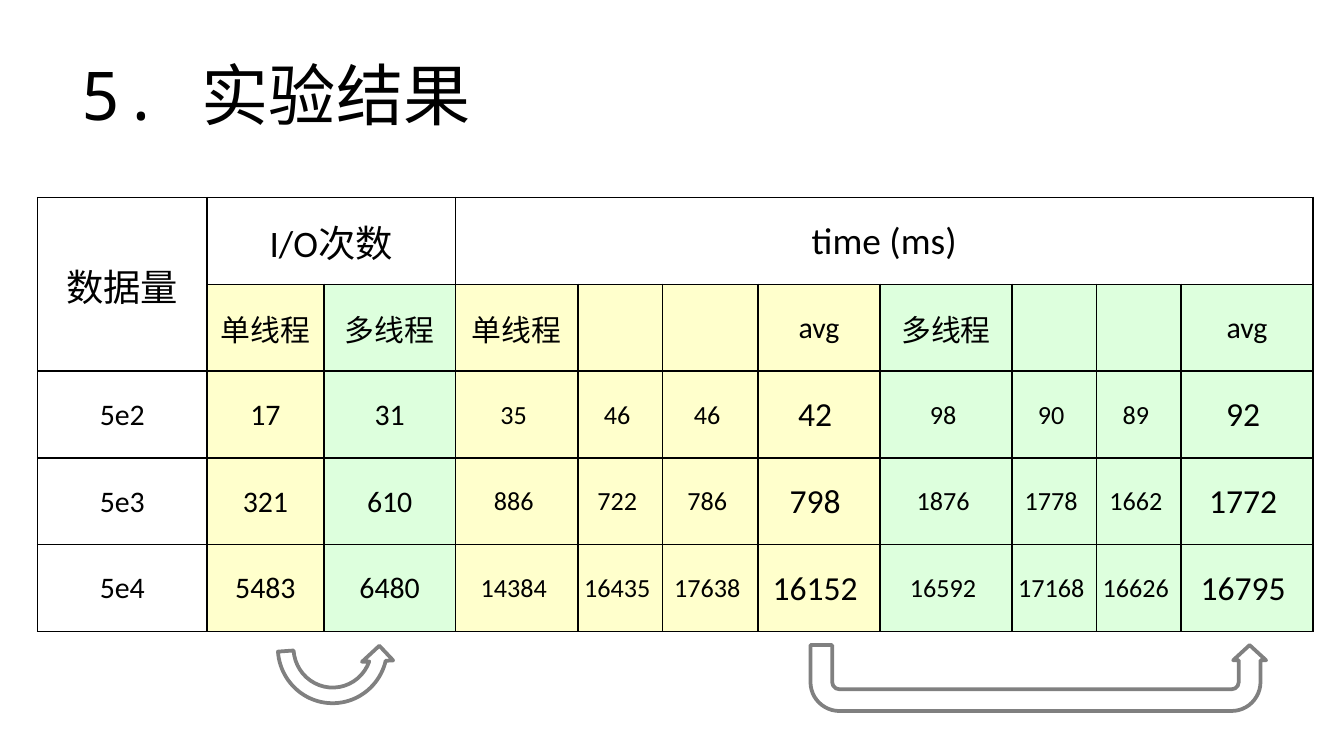
from pptx import Presentation
from pptx.dml.color import RGBColor
from pptx.enum.shapes import MSO_SHAPE as Kind
from pptx.enum.text import MSO_ANCHOR as Anchor, PP_ALIGN as Align
from pptx.oxml import parse_xml
from pptx.oxml.ns import nsdecls
from pptx.util import Inches, Pt

INK = {"text": "000000", "one": "FFFFCC", "many": "DDFFDD", "arrow": "808080"}
TITLE = "5. 实验结果"
HEADS = [(0, 0, 1, 0, "数据量"), (0, 1, 0, 2, "I/O次数"), (0, 3, 0, 10, "time (ms)")]
GROUPS = ["", "单线程", "多线程", "单线程", "", "", "avg", "多线程", "", "", "avg"]
DATA = [
    ["5e2", 17, 31, 35, 46, 46, 42, 98, 90, 89, 92],
    ["5e3", 321, 610, 886, 722, 786, 798, 1876, 1778, 1662, 1772],
    ["5e4", 5483, 6480, 14384, 16435, 17638, 16152, 16592, 17168, 16626, 16795],
]
WIDTHS = [1.26, 0.87, 0.98, 0.91, 0.63, 0.71, 0.91, 0.98, 0.63, 0.63, 0.98]
TINTS = [None, "one", "many"] + ["one"] * 4 + ["many"] * 4
SIZES = [16] * 3 + [14, 14, 14, 18] * 2
LEFT, TOP, HIGH = 0.28, 1.47, 3.23
ARROWS = [
    (Kind.CIRCULAR_ARROW, (2.01, 4.35, 0.93, 0.94), 177.4,
     (0.125, 11.42, 204.58, 108.8, 0.125)),
    (Kind.U_TURN_ARROW, (6.03, 4.8, 3.39, 0.49), 180,
     (0.33, 0.25, 0.23, 0.44, 1)),
]


def color(name):
    return RGBColor.from_string(INK[name])


def style(para, size, font):
    para.font.size = Pt(size)
    para.font.name = font
    para.font.color.rgb = color("text")


def edge(cell):
    props = cell._tc.get_or_add_tcPr()
    for spot, side in enumerate("LRTB"):
        props.insert(spot, parse_xml(
            f'<a:ln{side} {nsdecls("a")} w="12700"><a:solidFill>'
            f'<a:srgbClr val="{INK["text"]}"/></a:solidFill></a:ln{side}>'))


def write(cell, text, size):
    cell.text = text
    para = cell.text_frame.paragraphs[0]
    para.alignment = Align.CENTER
    style(para, size, "Calibri")


def add_grid(slide):
    rows = len(DATA) + 2
    grid = slide.shapes.add_table(
        rows, len(WIDTHS), Inches(LEFT), Inches(TOP),
        Inches(sum(WIDTHS)), Inches(HIGH)).table
    grid.first_row = grid.horz_banding = False
    for col, wide in zip(grid.columns, WIDTHS):
        col.width = Inches(wide)
    for row in range(rows):
        grid.rows[row].height = Inches(HIGH / rows)
        for col, tint in enumerate(TINTS):
            cell = grid.cell(row, col)
            cell.vertical_anchor = Anchor.MIDDLE
            cell.margin_left = cell.margin_right = cell.margin_top = Inches(0.01)
            cell.margin_bottom = 0
            if row and tint:
                cell.fill.solid()
                cell.fill.fore_color.rgb = color(tint)
            else:
                cell.fill.background()
            edge(cell)
    for row, col, last, end, text in HEADS:
        grid.cell(row, col).merge(grid.cell(last, end))
        write(grid.cell(row, col), text, 20)
    for col, text in enumerate(GROUPS):
        if text:
            write(grid.cell(1, col), text, 16)
    for row, line in enumerate(DATA, 2):
        for col, value in enumerate(line):
            text = f"{value} " if col > 2 else str(value)
            write(grid.cell(row, col), text, SIZES[col])


def add_arrow(slide, kind, box, turn, adjust):
    arrow = slide.shapes.add_shape(kind, *map(Inches, box))
    arrow.shadow.inherit = False
    arrow.rotation = turn
    arrow._element.spPr.xfrm.set("flipH", "1")
    for spot, value in enumerate(adjust):
        arrow.adjustments[spot] = value
    arrow.fill.background()
    arrow.line.color.rgb = color("arrow")
    arrow.line.width = Pt(2)


def main():
    deck = Presentation()
    deck.slide_width = Inches(10)
    deck.slide_height = deck.slide_width * 9 // 16
    slide = deck.slides.add_slide(deck.slide_layouts[5])
    title = slide.shapes.title
    title.left, title.top, title.width, title.height = map(
        Inches, (0.5, 0.23, 9, 0.94))
    title.text = TITLE
    title.text_frame.vertical_anchor = Anchor.MIDDLE
    para = title.text_frame.paragraphs[0]
    para.alignment = Align.LEFT
    style(para, 36, "Noto Sans Mono")
    add_grid(slide)
    for arrow in ARROWS:
        add_arrow(slide, *arrow)
    deck.save("out.pptx")


if __name__ == "__main__":
    main()
